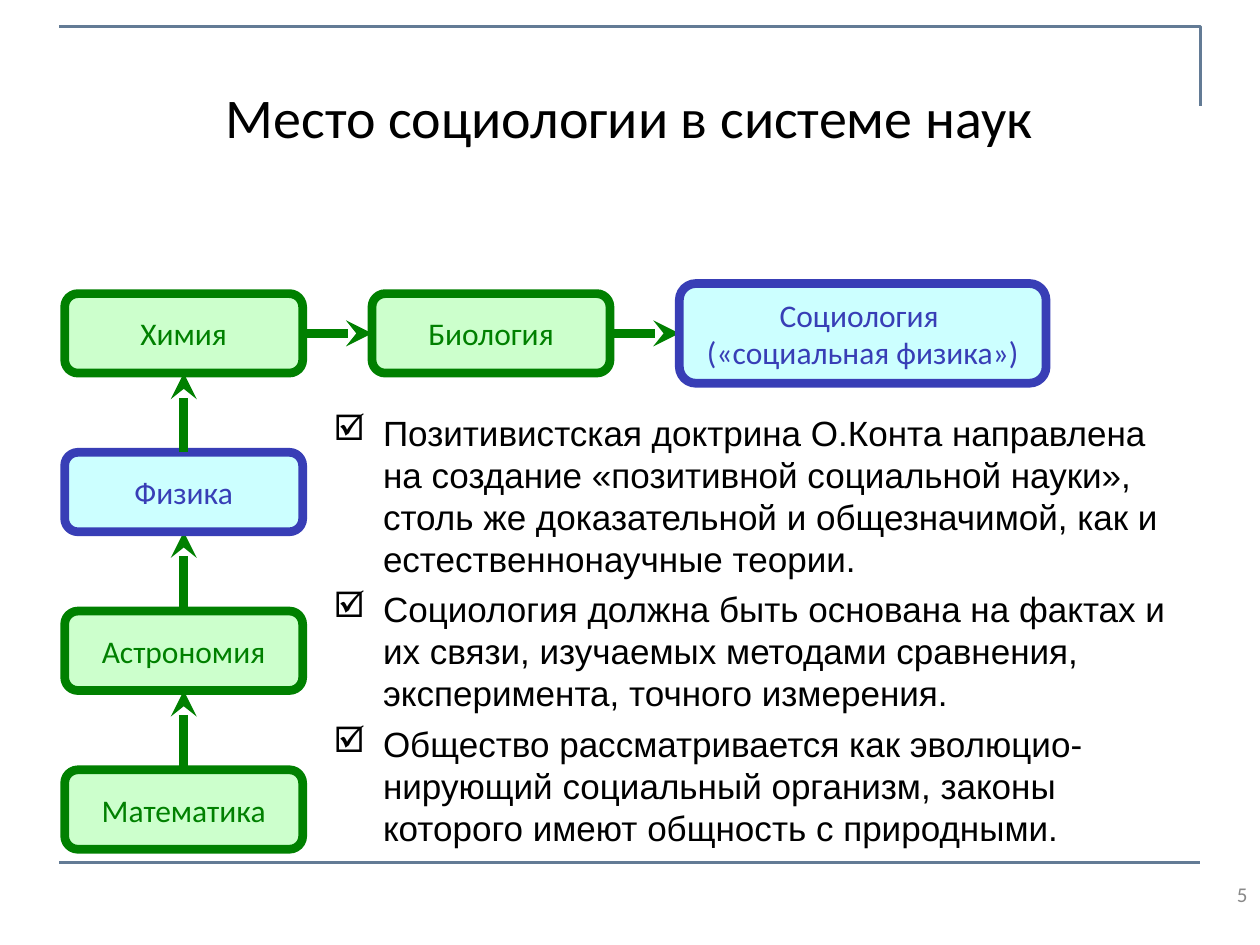
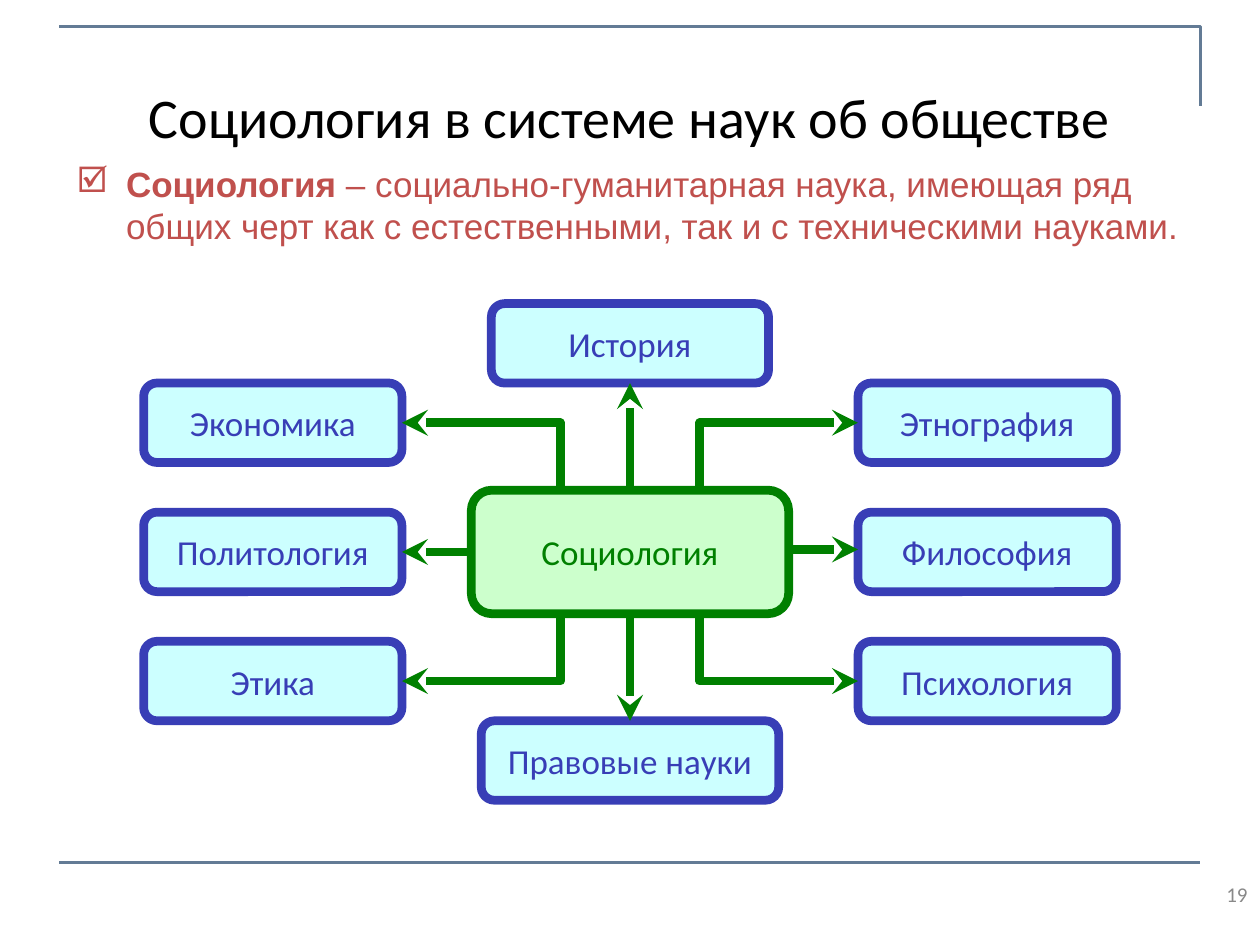
import pptx
import pptx.util
import pptx.dml.color
import pptx.enum.shapes
import pptx.enum.text
import pptx.oxml.ns
import lxml.etree

Pt = pptx.util.Pt
RGB = pptx.dml.color.RGBColor
ALIGN = pptx.enum.text.PP_ALIGN
MIDDLE = pptx.enum.text.MSO_ANCHOR.MIDDLE
qn = pptx.oxml.ns.qn

BLACK = RGB(0x00, 0x00, 0x00)
GREY = RGB(0x89, 0x89, 0x89)
SLATE = RGB(0x63, 0x7B, 0x95)
RED = RGB(0xC0, 0x50, 0x4D)
GREEN = RGB(0x00, 0x80, 0x00)
BLUE = RGB(0x38, 0x3E, 0xB6)
MINT = RGB(0xCC, 0xFF, 0xCC)
ICE = RGB(0xCC, 0xFF, 0xFF)

GREEN_BOX = (MINT, GREEN)
BLUE_BOX = (ICE, BLUE)
RULE = 1.5
HEAVY = 5
BOX_HEIGHT = 45.4

HIERARCHY = {
    "title": "Место социологии в системе наук",
    "number": "5",
    "column": [("Математика", GREEN_BOX), ("Астрономия", GREEN_BOX),
               ("Физика", BLUE_BOX), ("Химия", GREEN_BOX)],
    "row": [("Биология", GREEN_BOX, 136, BOX_HEIGHT),
            ("Социология \v(«социальная физика»)", BLUE_BOX, 209.6, 57)],
    "theses": [
        [("Позитивистская доктрина О.Конта направлена на создание «позитивной социальной науки», "
          "столь же доказательной и общезначимой, как и естественнонаучные теории.", False)],
        [("Социология должна быть основана на фактах и их связи, изучаемых методами сравнения, "
          "эксперимента, точного измерения.", False)],
        [("Общество рассматривается как эволюцио-нирующий социальный организм, законы которого "
          "имеют общность с природными.", False)],
    ],
}

SOCIAL_SCIENCES = {
    "title": "Социология в системе наук об обществе",
    "number": "19",
    "theses": [[("Социология", True),
                (" – социально-гуманитарная наука, имеющая ряд общих черт как с естественными, "
                 "так и с техническими науками.", False)]],
    "centre": "Социология",
    "sides": {-1: ["Экономика", "Политология", "Этика"],
              1: ["Этнография", "Философия", "Психология"]},
    "poles": {-1: ("История", 158.4), 1: ("Правовые науки", 170)},
}


def apply(target, values):
    for name, value in values.items():
        setattr(target, name, value)


def write(paragraph, runs, size, font, color):
    for text, bold in runs:
        if "\v" in text:
            paragraph.text = text
        else:
            paragraph.add_run().text = text
            paragraph.runs[-1].font.bold = bold
    for run in paragraph.runs:
        apply(run.font, {"size": Pt(size), "name": font})
        run.font.color.rgb = color


def add_label(slide, bounds, text, size, color, alignment):
    frame = slide.shapes.add_textbox(*map(Pt, bounds)).text_frame
    apply(frame, {"word_wrap": True, "vertical_anchor": MIDDLE})
    frame.paragraphs[0].alignment = alignment
    write(frame.paragraphs[0], [(text, False)], size, "Calibri", color)


def add_theses(slide, bounds, theses, color):
    frame = slide.shapes.add_textbox(*map(Pt, bounds)).text_frame
    frame.word_wrap = True
    for index, runs in enumerate(theses):
        paragraph = frame.add_paragraph() if index else frame.paragraphs[0]
        properties = paragraph._p.get_or_add_pPr()
        apply_indent = {"marL": Pt(28.2), "indent": -Pt(28.2)}
        for name, value in apply_indent.items():
            properties.set(name, str(value))
        lxml.etree.SubElement(properties, qn("a:buChar")).set("char", "☑")
        apply(paragraph, {"line_spacing": Pt(24), "space_before": Pt(5 if index else 0)})
        write(paragraph, runs, 20, "Arial", color)


def add_box(slide, centre_x, centre_y, width, height, text, colors, size):
    fill, ink = colors
    box = slide.shapes.add_shape(
        pptx.enum.shapes.MSO_SHAPE.ROUNDED_RECTANGLE,
        Pt(centre_x - width / 2), Pt(centre_y - height / 2), Pt(width), Pt(height))
    box.shadow.inherit = False
    box.fill.solid()
    box.fill.fore_color.rgb = fill
    box.line.color.rgb = ink
    box.line.width = Pt(HEAVY)
    apply(box.text_frame, {"word_wrap": False, "vertical_anchor": MIDDLE})
    paragraph = box.text_frame.paragraphs[0]
    paragraph.alignment = ALIGN.CENTER
    write(paragraph, [(text, False)], size, "Calibri", ink)


def add_path(slide, points, color, weight, arrow=False):
    corners = [(Pt(x), Pt(y)) for x, y in points]
    if len(corners) == 2:
        path = slide.shapes.add_connector(
            pptx.enum.shapes.MSO_CONNECTOR.STRAIGHT, *corners[0], *corners[1])
        lxml.etree.SubElement(path._element.spPr, qn("a:effectLst"))
    else:
        builder = slide.shapes.build_freeform(*corners[0])
        builder.add_line_segments(corners[1:], close=False)
        path = builder.convert_to_shape()
        path.shadow.inherit = False
        path.fill.background()
    path.line.color.rgb = color
    path.line.width = Pt(weight)
    if arrow:
        lxml.etree.SubElement(path.line._get_or_add_ln(), qn("a:tailEnd")).set("type", "stealth")


def add_arrow(slide, *points):
    add_path(slide, points, GREEN, HEAVY, arrow=True)


def start_slide(deck, content):
    slide = deck.slides.add_slide(deck.slide_layouts[6])
    add_path(slide, [(34, 15), (686, 15), (686, 60.4)], SLATE, RULE)
    add_path(slide, [(34, 493), (686, 493)], SLATE, RULE)
    add_label(slide, (36, 21.6, 648, 90), content["title"], 32, BLACK, ALIGN.CENTER)
    add_label(slide, (552, 492, 168, 37.4), content["number"], 12, GREY, ALIGN.RIGHT)
    return slide


def build_hierarchy(deck):
    slide = start_slide(deck, HIERARCHY)
    x, y, width, step, gap = 105, 462.6, 136, 90.7, 39.6
    for index, (science, colors) in enumerate(HIERARCHY["column"]):
        if index:
            add_arrow(slide, (x, y - BOX_HEIGHT / 2), (x, y - step + BOX_HEIGHT / 2))
            y -= step
        add_box(slide, x, y, width, BOX_HEIGHT, science, colors, 18)
    edge = x + width / 2
    for science, colors, width, height in HIERARCHY["row"]:
        add_arrow(slide, (edge, y), (edge + gap, y))
        add_box(slide, edge + gap + width / 2, y, width, height, science, colors, 18)
        edge += gap + width
    add_theses(slide, (183.6, 231.4, 499.7, 265.7), HIERARCHY["theses"], BLACK)


def build_social_sciences(deck):
    slide = start_slide(deck, SOCIAL_SCIENCES)
    x, y, width, height = 360, 315.4, 181.4, 70.6
    side_offset, side_width, row_step = 204.1, 147.6, 73.8
    pole_offset, elbow_offset = 119.2, 39.8
    for side, sciences in SOCIAL_SCIENCES["sides"].items():
        side_x = x + side * side_offset
        tip_x = side_x - side * side_width / 2
        for row, science in enumerate(sciences, -1):
            row_y = y + row * row_step
            add_box(slide, side_x, row_y, side_width, BOX_HEIGHT, science, BLUE_BOX, 20)
            if row:
                elbow_x = x + side * elbow_offset
                add_arrow(slide, (elbow_x, y + row * height / 2), (elbow_x, row_y), (tip_x, row_y))
            else:
                spoke_y = y - 1.4 * (side > 0)
                add_arrow(slide, (x + side * width / 2, spoke_y), (tip_x, spoke_y))
    for side, (science, pole_width) in SOCIAL_SCIENCES["poles"].items():
        pole_y = y + side * pole_offset
        add_box(slide, x, pole_y, pole_width, BOX_HEIGHT, science, BLUE_BOX, 20)
        add_arrow(slide, (x, y + side * height / 2), (x, pole_y - side * BOX_HEIGHT / 2))
    add_box(slide, x, y, width, height, SOCIAL_SCIENCES["centre"], GREEN_BOX, 20)
    add_theses(slide, (36.7, 89.6, 646.6, 64), SOCIAL_SCIENCES["theses"], RED)


def main():
    deck = pptx.Presentation()
    apply(deck, {"slide_width": Pt(720), "slide_height": Pt(540)})
    build_hierarchy(deck)
    build_social_sciences(deck)
    deck.save("out.pptx")


if __name__ == "__main__":
    main()
